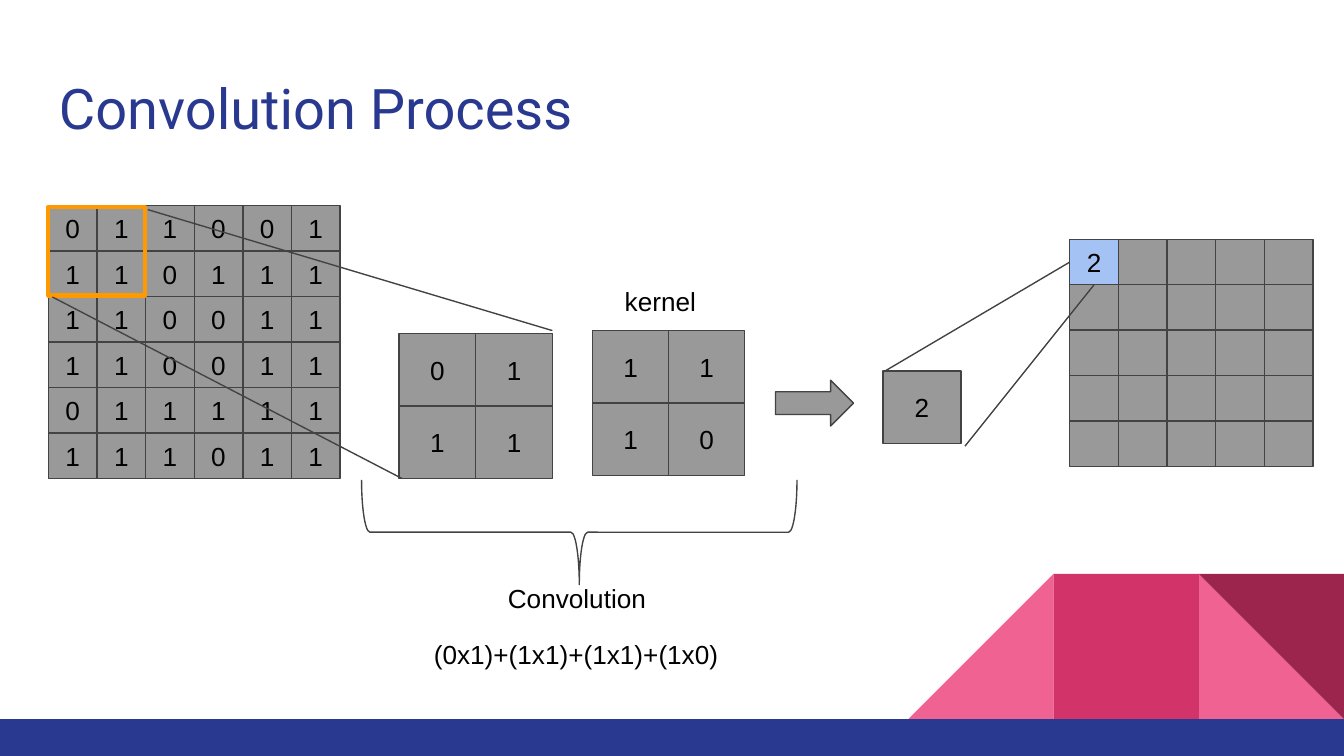
"""Build a slide showing one step of a convolution over a binary grid."""
from lxml.etree import SubElement
from pptx import Presentation
from pptx.dml.color import RGBColor
from pptx.enum.shapes import MSO_CONNECTOR, MSO_SHAPE
from pptx.enum.text import MSO_ANCHOR, PP_ALIGN
from pptx.oxml.ns import qn
from pptx.util import Inches, Pt

BLACK = RGBColor(0x00, 0x00, 0x00)
NAVY = RGBColor(0x2A, 0x39, 0x90)
GRAY = RGBColor(0x99, 0x99, 0x99)
CHARCOAL = RGBColor(0x43, 0x43, 0x43)
ORANGE = RGBColor(0xFF, 0x99, 0x00)
LIGHT_BLUE = RGBColor(0xA4, 0xC2, 0xF4)
PINK = RGBColor(0xF0, 0x62, 0x92)
CRIMSON = RGBColor(0xD2, 0x33, 0x69)
MAROON = RGBColor(0x9C, 0x25, 0x4D)

presentation = Presentation()
presentation.slide_width = Inches(10)
presentation.slide_height = Inches(5.625)
slide = presentation.slides.add_slide(presentation.slide_layouts[6])
COLUMN = presentation.slide_width / 100
ROW = presentation.slide_height / 56.25


def add_figure(kind, left, top, width, height, fill=None, line=None, weight=0.75):
    """Add a preset shape placed in columns and rows."""
    shape = slide.shapes.add_shape(
        kind, round(left * COLUMN), round(top * ROW), round(width * COLUMN), round(height * ROW)
    )
    shape.shadow.inherit = False
    if fill is None:
        shape.fill.background()
    else:
        shape.fill.solid()
        shape.fill.fore_color.rgb = fill
    if line is None:
        shape.line.fill.background()
    else:
        shape.line.color.rgb = line
        shape.line.width = Pt(weight)
    return shape


def write_text(shape, text, size=14, font="Arial", color=BLACK, align=PP_ALIGN.CENTER, anchor=MSO_ANCHOR.MIDDLE):
    """Write one run into a shape or text box."""
    frame = shape.text_frame
    frame.word_wrap = True
    frame.vertical_anchor = anchor
    frame.margin_left = frame.margin_right = frame.margin_top = frame.margin_bottom = Inches(0.1)
    paragraph = frame.paragraphs[0]
    paragraph.alignment = align
    run = paragraph.add_run()
    run.text = text
    run.font.size = Pt(size)
    run.font.name = font
    run.font.color.rgb = color


corner = 10.8
corner_top = 42.7
add_figure(MSO_SHAPE.RIGHT_TRIANGLE, 89.2, corner_top, corner, corner, PINK)
mirrored = add_figure(MSO_SHAPE.RIGHT_TRIANGLE, 67.6, corner_top, corner, corner, PINK)
mirrored._element.spPr.get_or_add_xfrm().set("flipH", "1")
add_figure(MSO_SHAPE.RECTANGLE, 78.4, corner_top, corner, corner, CRIMSON)
turned = add_figure(MSO_SHAPE.RIGHT_TRIANGLE, 89.2, corner_top, corner, corner, MAROON)
turned.rotation = 180
add_figure(MSO_SHAPE.RECTANGLE, 0, 53.5, 100, 2.75, NAVY)

matrices = [
    (3.6, 15.3, 21.7, 20.3, ["011001", "110111", "110011", "110011", "011111", "111011"]),
    (29.7, 24.8, 11.4, 10.8, ["01", "11"]),
    (44.1, 24.6, 11.3, 10.8, ["11", "10"]),
    (79.6, 17.8, 18.1, 16.9, ["2    "] + ["     "] * 4),
    (65.7, 27.6, 5.8, 5.4, ["2"]),
]
for left, top, width, height, rows in matrices:
    cell_width = width / len(rows[0])
    cell_height = height / len(rows)
    for row_index, row in enumerate(rows):
        for column_index, value in enumerate(row):
            highlighted = value == "2" and len(rows) > 1
            cell = add_figure(
                MSO_SHAPE.RECTANGLE,
                left + column_index * cell_width,
                top + row_index * cell_height,
                cell_width,
                cell_height,
                LIGHT_BLUE if highlighted else GRAY,
                CHARCOAL,
            )
            if value != " ":
                write_text(cell, value)

add_figure(MSO_SHAPE.RECTANGLE, 3.6, 15.4, 7.2, 6.6, line=ORANGE, weight=2.25)
add_figure(MSO_SHAPE.RIGHT_ARROW, 57.7, 28.3, 5.8, 3.4, GRAY, CHARCOAL)
brace = add_figure(MSO_SHAPE.RIGHT_BRACE, 39.2, 23.4, 7.8, 32.4, line=CHARCOAL)
brace.adjustments[0] = 0.08
brace.rotation = 90

projection_lines = [
    (11, 15.6, 41.1, 24.6),
    (3.9, 22.1, 29.9, 35.6),
    (65.7, 27.7, 79.6, 19.5),
    (71.8, 33.2, 81.4, 21.2),
]
for start_x, start_y, end_x, end_y in projection_lines:
    connector = slide.shapes.add_connector(
        MSO_CONNECTOR.STRAIGHT,
        round(start_x * COLUMN),
        round(start_y * ROW),
        round(end_x * COLUMN),
        round(end_y * ROW),
    )
    connector.line.color.rgb = CHARCOAL
    connector.line.width = Pt(0.75)
    SubElement(connector._element.spPr, qn("a:effectLst"))

labels = [
    (3.4, 4.5, 93.2, 6.6, "Convolution Process", 30, "Roboto", NAVY),
    (45.5, 20.2, 19.6, 5.4, "kernel", 14, "Arial", BLACK),
    (36.8, 42.3, 13.9, 4.2, "Convolution", 14, "Arial", BLACK),
    (31.3, 46.5, 23.6, 5.4, "(0x1)+(1x1)+(1x1)+(1x0)", 14, "Arial", BLACK),
]
for left, top, width, height, text, size, font, color in labels:
    label = slide.shapes.add_textbox(
        round(left * COLUMN), round(top * ROW), round(width * COLUMN), round(height * ROW)
    )
    write_text(label, text, size, font, color, PP_ALIGN.LEFT, MSO_ANCHOR.TOP)

presentation.save("out.pptx")
